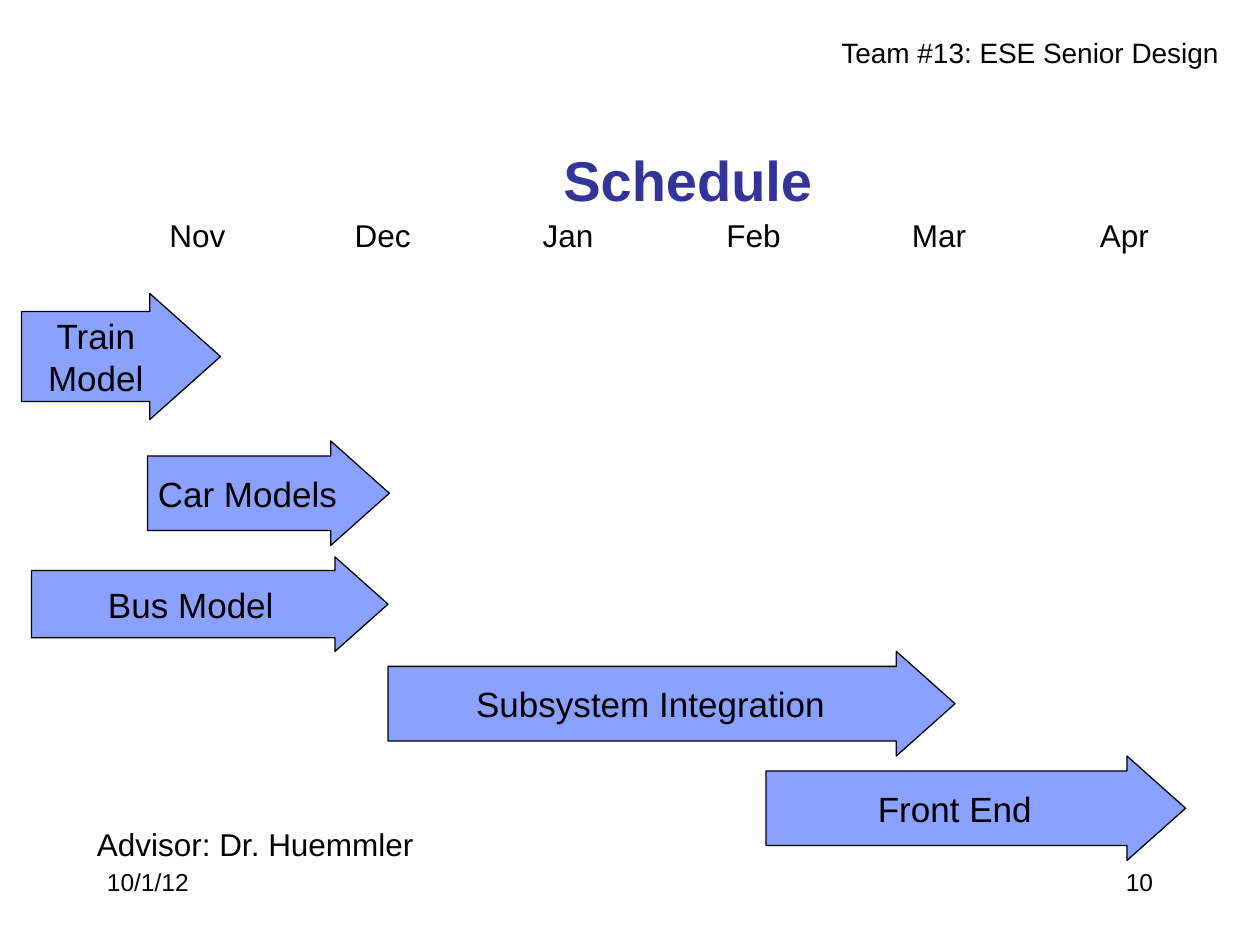
"""Build the project schedule slide: month header, task arrows and captions."""
import pptx
import pptx.dml.color
import pptx.enum.shapes
import pptx.enum.text
import pptx.util

Inches, Pt = pptx.util.Inches, pptx.util.Pt
ALIGN = pptx.enum.text.PP_ALIGN
MIDDLE = pptx.enum.text.MSO_ANCHOR.MIDDLE

TITLE = ("Schedule", (1.67, 0.92, 7.58, 1))
MONTHS = ["Nov", "Dec", "Jan", "Feb", "Mar", "Apr"]
MONTHS_BOX = (0.83, 1.67, 8.83, 0.41)
TASKS = [
    ("Train Model", (0.17, 2.33, 1.58, 1)),
    ("Bus Model", (0.25, 4.42, 2.83, 0.75)),
    ("Car Models", (1.17, 3.5, 1.92, 0.83)),
    ("Front End", (6.08, 6, 3.33, 0.83)),
    ("Subsystem Integration", (3.08, 5.17, 4.5, 0.83)),
]
CAPTIONS = [
    ("Team #13: ESE Senior Design", (6.58, 0.33, 3.25, 0.26), 16,
     {"line_spacing": 0.6, "space_before": Pt(10)}),
    ("10/1/12", (0.75, 6.83, 2.08, 0.5), 14, {}),
    ("10", (6.67, 6.83, 2.58, 0.5), 14, {"alignment": ALIGN.RIGHT}),
    ("Advisor: Dr. Huemmler", (0.67, 6.5, 2.92, 0.4), 18,
     {"space_before": Pt(11.2)}),
]
CENTRED = {"alignment": ALIGN.CENTER}
ARROW_ADJUSTMENTS = (0.713, 0.561)
ARROW_TEXT = {"word_wrap": True, "vertical_anchor": MIDDLE,
              "margin_left": Inches(0.02), "margin_right": Inches(0.02)}


def rgb(value):
    return pptx.dml.color.RGBColor.from_string(value)


def inches(box):
    return [Inches(v) for v in box]


def apply(target, values):
    for name, value in values.items():
        setattr(target, name, value)


def write(tf, text, size, layout, color="000000", bold=False):
    p = tf.paragraphs[0]
    r = p.add_run()
    r.text = text
    apply(p, layout)
    apply(r.font, {"name": "Arial", "size": Pt(size), "bold": bold})
    r.font.color.rgb = rgb(color)


def add_title(s):
    text, box = TITLE
    sp = s.shapes.title
    apply(sp, dict(zip(("left", "top", "width", "height"), inches(box))))
    sp.text_frame.vertical_anchor = MIDDLE
    write(sp.text_frame, text, 32, CENTRED, "333399", True)


def add_caption(s, text, box, size, layout):
    tf = s.shapes.add_textbox(*inches(box)).text_frame
    tf.word_wrap = True
    write(tf, text, size, layout)


def add_task(s, text, box):
    sp = s.shapes.add_shape(
        pptx.enum.shapes.MSO_SHAPE.RIGHT_ARROW, *inches(box))
    for i, value in enumerate(ARROW_ADJUSTMENTS):
        sp.adjustments[i] = value
    sp.shadow.inherit = False
    sp.fill.solid()
    sp.fill.fore_color.rgb = rgb("8BA1FF")
    sp.line.color.rgb = rgb("000000")
    sp.line.width = Pt(0.75)
    apply(sp.text_frame, ARROW_TEXT)
    write(sp.text_frame, text, 20, CENTRED)


def add_months(s):
    table = s.shapes.add_table(1, len(MONTHS), *inches(MONTHS_BOX)).table
    table.first_row = table.horz_banding = False
    for cell, month in zip(table.rows[0].cells, MONTHS):
        cell.fill.background()
        cell.vertical_anchor = MIDDLE
        write(cell.text_frame, month, 18, CENTRED)


def main():
    prs = pptx.Presentation()
    prs.slide_width, prs.slide_height = Inches(10), Inches(7.5)
    s = prs.slides.add_slide(prs.slide_layouts[5])
    add_title(s)
    for task in TASKS:
        add_task(s, *task)
    add_months(s)
    for caption in CAPTIONS:
        add_caption(s, *caption)
    prs.save("out.pptx")


if __name__ == "__main__":
    main()
